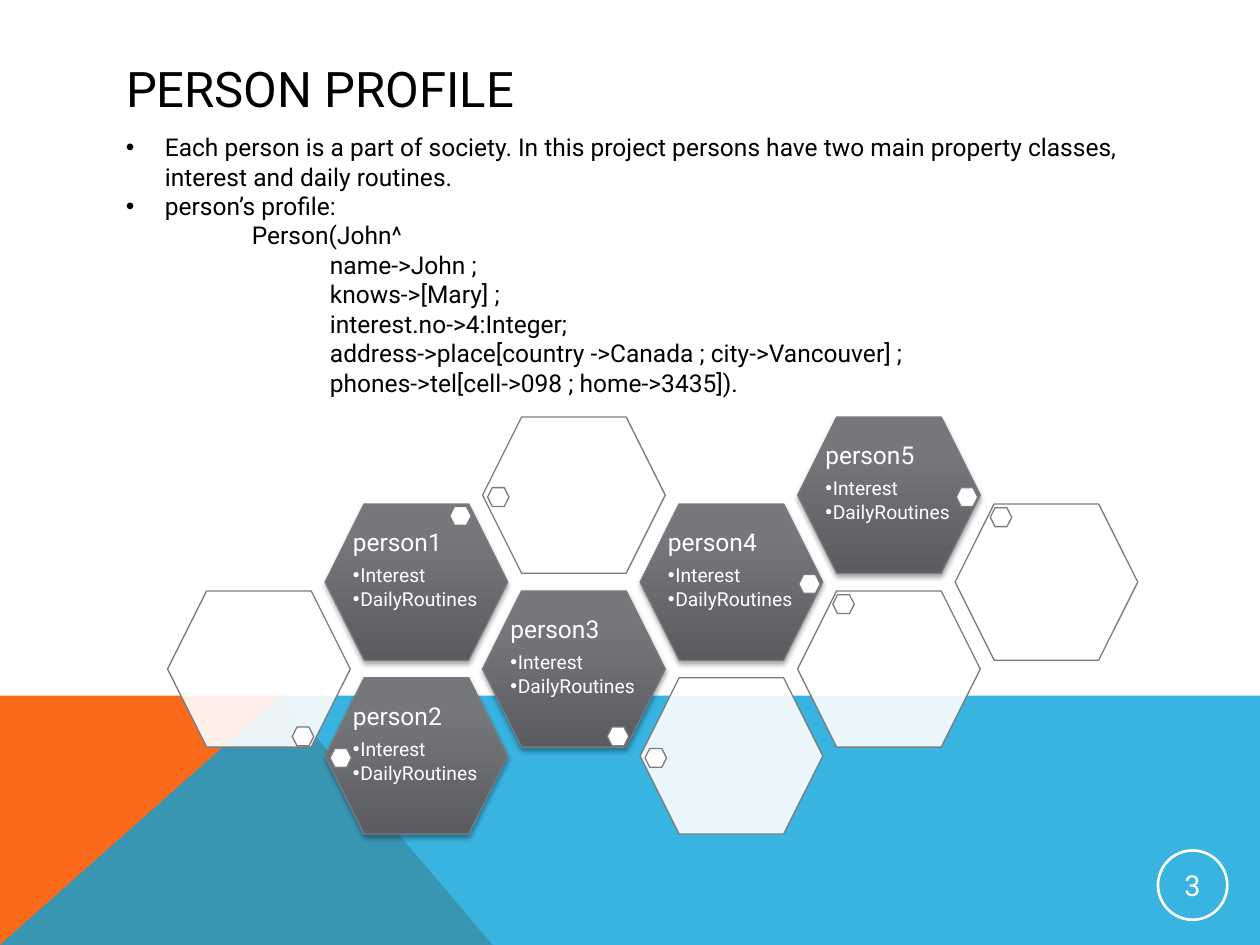
from lxml.etree import SubElement
from pptx import Presentation
from pptx.dml.color import RGBColor
from pptx.enum.shapes import MSO_SHAPE
from pptx.enum.text import MSO_ANCHOR, PP_ALIGN
from pptx.oxml.ns import qn
from pptx.util import Inches, Pt

CODE_LINES = [
    "name->John ;",
    "knows->[Mary] ;",
    "interest.no->4:Integer;",
    "address->place[country ->Canada ; city->Vancouver] ;",
    "phones->tel[cell->098 ; home->3435]).",
]
MARKER_OFFSETS = {
    "left": (0.04, 0.56),
    "right": (1.26, 0.56),
    "top left": (0.28, 0.03),
    "top right": (0.99, 0.02),
    "bottom right": (0.99, 1.08),
}
HONEYCOMB = [
    (1, 3, "left", "person2"),
    (0, 2, "bottom right", None),
    (2, 2, "bottom right", "person3"),
    (3, 3, "left", None),
    (1, 1, "top right", "person1"),
    (2, 0, "left", None),
    (3, 1, "right", "person4"),
    (4, 2, "top left", None),
    (4, 0, "right", "person5"),
    (5, 1, "top left", None),
]


def color(value):
    """Return the colour for a hex string."""
    return RGBColor.from_string(value)


def set_alpha(fill_color_element, percent):
    """Give a colour element an opacity in percent."""
    SubElement(fill_color_element, qn("a:alpha"), val=str(percent * 1000))


def write(frame, text, size=14, fill="000000", bullet=False, indent=0, hanging=0,
          line_spacing=None, after=0, align=PP_ALIGN.LEFT, level=0):
    """Add one formatted paragraph to a text frame."""
    paragraph = frame.paragraphs[0]
    if paragraph.runs:
        paragraph = frame.add_paragraph()
    paragraph.alignment = align
    paragraph.level = level
    paragraph.space_before = Pt(0)
    paragraph.space_after = Pt(after)
    if line_spacing:
        paragraph.line_spacing = line_spacing
    run = paragraph.add_run()
    run.text = text
    run.font.name = "Roboto"
    run.font.size = Pt(size)
    run.font.color.rgb = color(fill)
    properties = paragraph._p.get_or_add_pPr()
    properties.set("marL", str(Inches(indent)))
    properties.set("indent", str(-Inches(hanging)))
    if bullet:
        SubElement(properties, qn("a:buFont"), typeface="Arial")
        SubElement(properties, qn("a:buChar"), char="•")


class ProfileSlide:
    """Holds the style and the current slide."""

    outline = "797B7E"
    gradient = (("5A5C5F", 0), ("75777B", 0.8))

    def __init__(self, presentation):
        self.slide = presentation.slides.add_slide(presentation.slide_layouts[5])
        self.shapes = self.slide.shapes

    def title(self, text, left, top, width, height):
        """Place and format the title placeholder."""
        title = self.shapes.title
        title.left, title.top = Inches(left), Inches(top)
        title.width, title.height = Inches(width), Inches(height)
        title.text_frame.vertical_anchor = MSO_ANCHOR.MIDDLE
        write(title.text_frame, text, size=28)

    def band(self, points, fill, opacity=100):
        """Draw a filled polygon without an outline."""
        corners = [(Inches(x), Inches(y)) for x, y in points]
        builder = self.shapes.build_freeform(*corners[0], scale=1.0)
        builder.add_line_segments(corners[1:], close=True)
        self.paint(builder.convert_to_shape(), fill, opacity)

    def paint(self, shape, fill, opacity=100, line=None, line_width=0.75):
        """Set the fill and outline of a shape."""
        shape.shadow.inherit = False
        if fill:
            shape.fill.solid()
            shape.fill.fore_color.rgb = color(fill)
            if opacity < 100:
                solid = shape._element.spPr.find(qn("a:solidFill"))
                set_alpha(solid[0], opacity)
        else:
            shape.fill.background()
        if line:
            shape.line.color.rgb = color(line)
            shape.line.width = Pt(line_width)
        else:
            shape.line.fill.background()

    def hexagon(self, left, top, width, height, opacity=100):
        """Draw a white outlined hexagon."""
        shape = self.shapes.add_shape(MSO_SHAPE.HEXAGON, Inches(left), Inches(top),
                                      Inches(width), Inches(height))
        self.paint(shape, "FFFFFF", opacity, self.outline)
        return shape

    def shade(self, shape):
        """Give a shape the grey gradient and a soft shadow."""
        shape.fill.gradient()
        shape.fill.gradient_angle = 90
        for stop, (value, position) in zip(shape.fill.gradient_stops, self.gradient):
            stop.color.rgb = color(value)
            stop.position = position
        effects = shape._element.spPr.find(qn("a:effectLst"))
        shadow = SubElement(effects, qn("a:outerShdw"), blurRad=str(Pt(3.1)),
                            dist=str(Pt(1.8)), dir="5400000", rotWithShape="0")
        set_alpha(SubElement(shadow, qn("a:srgbClr"), val="000000"), 35)

    def text_box(self, left, top, width, height):
        """Add a wrapping text box and return its frame."""
        box = self.shapes.add_textbox(Inches(left), Inches(top), Inches(width), Inches(height))
        box.text_frame.word_wrap = True
        return box.text_frame

    def person(self, name, left, top):
        """Write a person's name and property classes."""
        frame = self.text_box(left, top, 1, 0.86)
        frame.margin_left = frame.margin_right = 0
        frame.margin_top = frame.margin_bottom = Inches(0.02)
        write(frame, name, fill="FFFFFF", line_spacing=0.9, after=5)
        for entry in ("Interest", "DailyRoutines"):
            write(frame, entry, size=11, fill="FFFFFF", bullet=True, indent=0.06,
                  hanging=0.06, line_spacing=0.9, after=2, level=1)

    def cell(self, column, row, corner, name):
        """Draw one honeycomb cell with its marker and optional person."""
        left, top = 1.33 + 1.25 * column, 3.31 + 0.69 * row
        shape = self.hexagon(left, top, 1.45, 1.24, 100 if name else 90)
        if name:
            self.shade(shape)
            self.person(name, left + 0.22, top + 0.19)
        across, down = MARKER_OFFSETS[corner]
        self.hexagon(left + across, top + down, 0.17, 0.15)

    def page_number(self, text, left, top, size):
        """Draw the slide number in a ring."""
        ring = self.shapes.add_shape(MSO_SHAPE.OVAL, Inches(left), Inches(top),
                                     Inches(size), Inches(size))
        self.paint(ring, None, line="FFFFFF", line_width=1.5)
        frame = ring.text_frame
        frame.margin_left = frame.margin_right = Inches(0.01)
        frame.margin_top = frame.margin_bottom = Inches(0.01)
        frame.vertical_anchor = MSO_ANCHOR.MIDDLE
        write(frame, text, size=16.5, fill="FFFFFF", align=PP_ALIGN.CENTER)


def main():
    """Build the slide and save it."""
    presentation = Presentation()
    presentation.slide_width, presentation.slide_height = Inches(10), Inches(7.5)
    profile = ProfileSlide(presentation)
    profile.band([(0, 7.5), (0, 5.52), (2.23, 5.52), (3.91, 7.5)], "F96A1B")
    profile.band([(0, 7.5), (2.23, 5.52), (10, 5.52), (10, 7.5)], "08A1D9", 80)
    profile.title("PERSON PROFILE", 0.9, 0.4, 8.22, 0.6)
    for cell in HONEYCOMB:
        profile.cell(*cell)
    body = profile.text_box(0.9, 1, 8.35, 2.29)
    for text in ("Each person is a part of society. In this project persons have two main "
                 "property classes, interest and daily routines.", "person’s profile:"):
        write(body, text, bullet=True, indent=0.31, hanging=0.31)
    write(body, "Person(John^", indent=1)
    for line in CODE_LINES:
        write(body, line, indent=1.62)
    profile.page_number("3", 9.19, 6.75, 0.55)
    presentation.save("out.pptx")


main()
